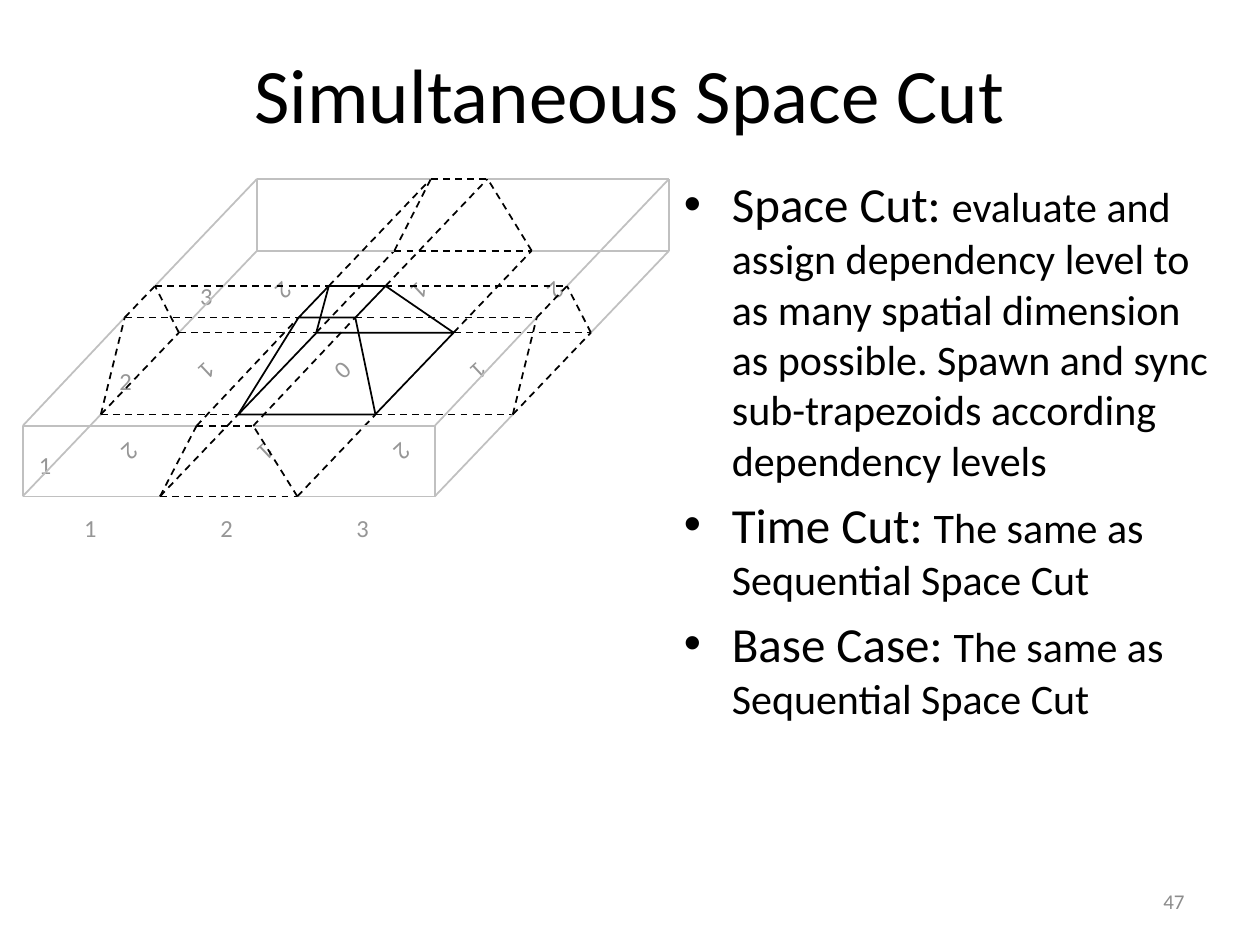
from lxml import etree
from pptx import Presentation
from pptx import util as u
from pptx.dml.color import RGBColor
from pptx.enum import dml, shapes, text
from pptx.oxml.ns import qn

INK = {"black": "000000", "edge": "C0C0C0", "label": "969696", "page": "8C8C8C"}
LEFT, MID, RIGHT = text.PP_ALIGN.LEFT, text.PP_ALIGN.CENTER, text.PP_ALIGN.RIGHT

deck = Presentation()
deck.slide_width, deck.slide_height = u.Inches(10), u.Inches(7.5)
slide = deck.slides.add_slide(deck.slide_layouts[6])


def write(area, paras, color, align=MID, wrap=True):
    """Add a text box; each paragraph is a list of (words, size) runs."""
    box = slide.shapes.add_textbox(*[u.Inches(n) for n in area])
    frame = box.text_frame
    frame.word_wrap = wrap
    for k, runs in enumerate(paras):
        para = frame.add_paragraph() if k else frame.paragraphs[0]
        para.alignment = align
        for words, size in runs:
            run = para.add_run()
            run.text = words
            run.font.name, run.font.size = "Calibri", u.Pt(size)
            run.font.color.rgb = RGBColor.from_string(INK[color])
    return box


def link(start, end, style):
    """Draw a line between two points: edge, dash or solid."""
    line = slide.shapes.add_connector(
        shapes.MSO_CONNECTOR.STRAIGHT, *[u.Inches(n) for n in (*start, *end)])
    line.line.width = u.Pt(1)
    line.line.color.rgb = RGBColor.from_string(INK["edge" if style == "edge" else "black"])
    if style == "dash":
        line.line.dash_style = dml.MSO_LINE.DASH
    etree.SubElement(line._element.spPr, qn("a:effectLst"))


# Title, body and page number
title = write((0.5, 0.3, 9, 0.87), [[("Simultaneous Space Cut", 44)]], "black")
page = write((7.17, 6.95, 2.33, 0.4), [[("47", 12)]], "page", RIGHT)
for box in (title, page):
    box.text_frame.vertical_anchor = text.MSO_ANCHOR.MIDDLE

same = "The same as Sequential Space Cut"
rules = [
    ("Space Cut: ", "evaluate and assign dependency level to as many spatial dimension "
     "as possible. Spawn and sync sub-trapezoids according dependency levels"),
    ("Time Cut: ", same),
    ("Base Case: ", same),
]
body = write((5.33, 1.33, 4.42, 4.95),
             [[(head, 28), (rest, 24)] for head, rest in rules], "black", LEFT)
for para in body.text_frame.paragraphs:
    para.space_before = u.Pt(5.6)
    props = para._p.get_or_add_pPr()
    props.set("marL", str(u.Inches(0.38)))
    props.set("indent", str(-u.Inches(0.38)))
    etree.SubElement(props, qn("a:buFont")).set("typeface", "Arial")
    etree.SubElement(props, qn("a:buChar")).set("char", "•")

# Axis numbers, then the dependency level of each cell
for k in range(3):
    for x, y in ((0.21 + 0.64 * k, 3.53 - 0.67 * k), (0.57 + 1.08 * k, 4.03)):
        write((x, y, 0.23, 0.09), [[(str(k + 1), 14)]], "label", wrap=False)
for row in range(3):
    for col in range(3):
        level = abs(row - 1) + abs(col - 1)
        cell = write((0.8 + 1.08 * col + 0.61 * row, 3.51 - 0.64 * row, 0.48, 0.17),
                     [[(str(level), 14)]], "label", wrap=False)
        cell.rotation = 136.8
        cell.text_frame._txBody.bodyPr.set("vert", "wordArtVert")

# Points of the two planes, [row][column], from the front row to the back
base = [[(0.18 + 1.09 * c + 0.62 * r, 3.94 - 0.65 * r) for c in range(4)]
        for r in range(4)]
roof = [[(x + dx, y) for x in (0.18, 1.56, 2.01, 3.45)]
        for dx, y in ((0, 3.38), (0.81, 2.52), (1.05, 2.27), (1.86, 1.42))]

STYLES = ("edge", "dash", "solid")
for plane in (base, roof):
    for k in range(4):
        for s in range(3):
            style = STYLES[(k in (1, 2)) + (s == 1)]
            if style != "solid":
                link(plane[k][s], plane[k][s + 1], style)
                link(plane[s][k], plane[s + 1][k], style)
    # The centre cell is one parallelogram
    (x1, y1), (x2, y2) = plane[1][1], plane[2][2]
    core = slide.shapes.add_shape(
        shapes.MSO_SHAPE.PARALLELOGRAM,
        *[u.Inches(n) for n in (x1, y2, x2 - x1, y1 - y2)])
    core.adjustments[0] = 0.958
    core.shadow.inherit = False
    core.fill.background()
    core.line.width = u.Pt(1)
    core.line.color.rgb = RGBColor.from_string(INK["black"])

# Struts between the planes
for r in range(4):
    for c in range(4):
        link(base[r][c], roof[r][c], STYLES[(r in (1, 2)) + (c in (1, 2))])

deck.save("out.pptx")
